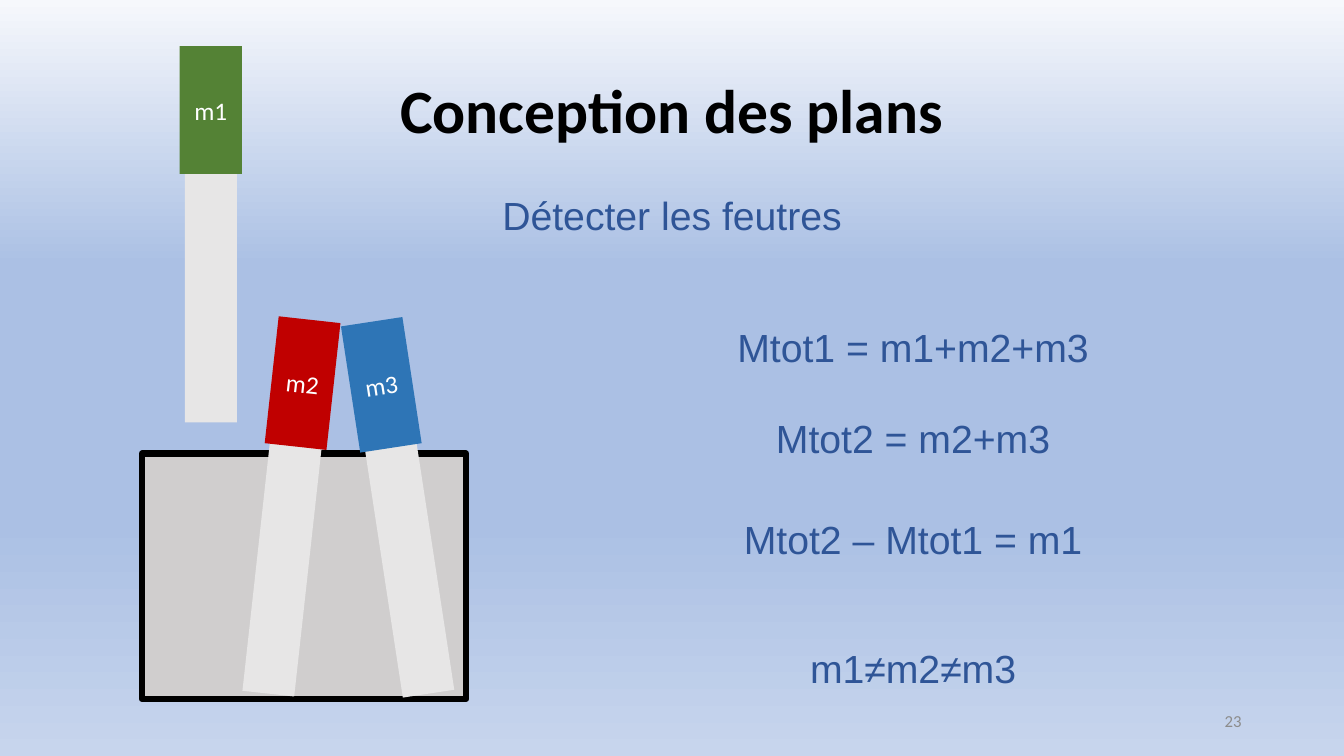
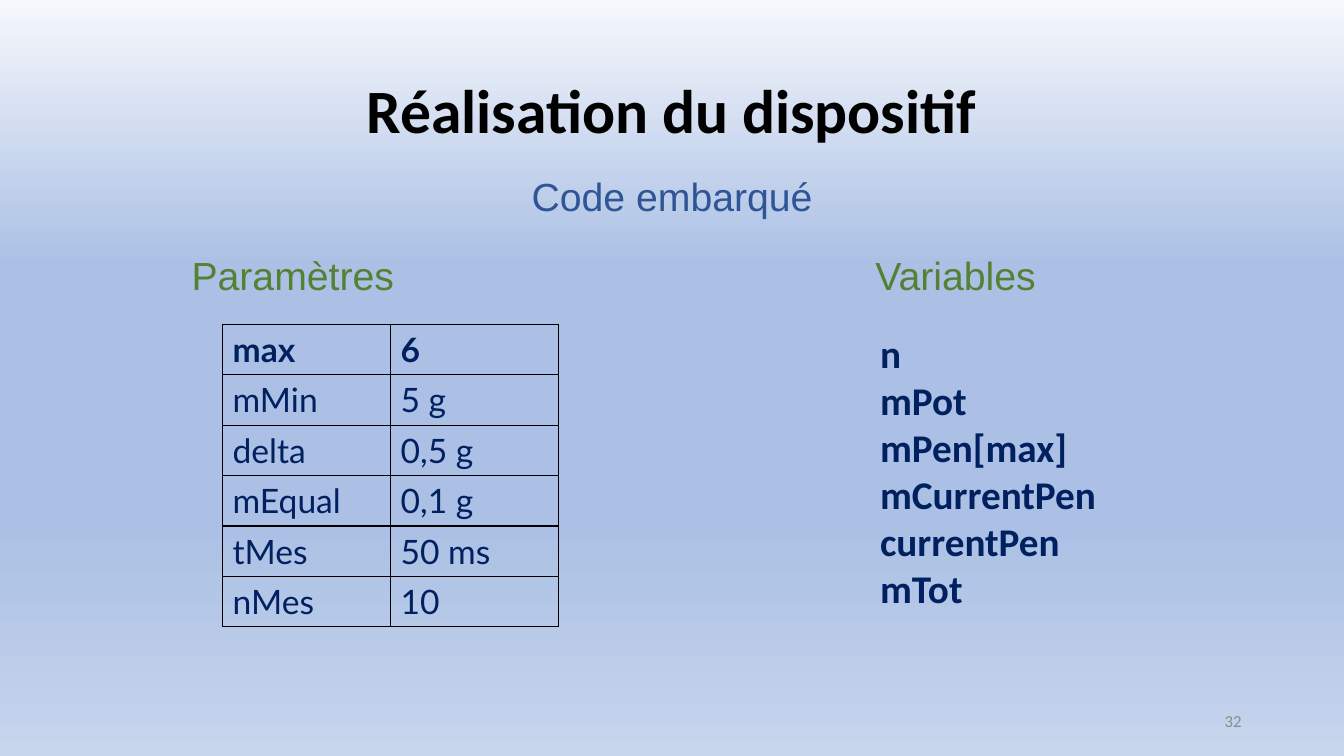
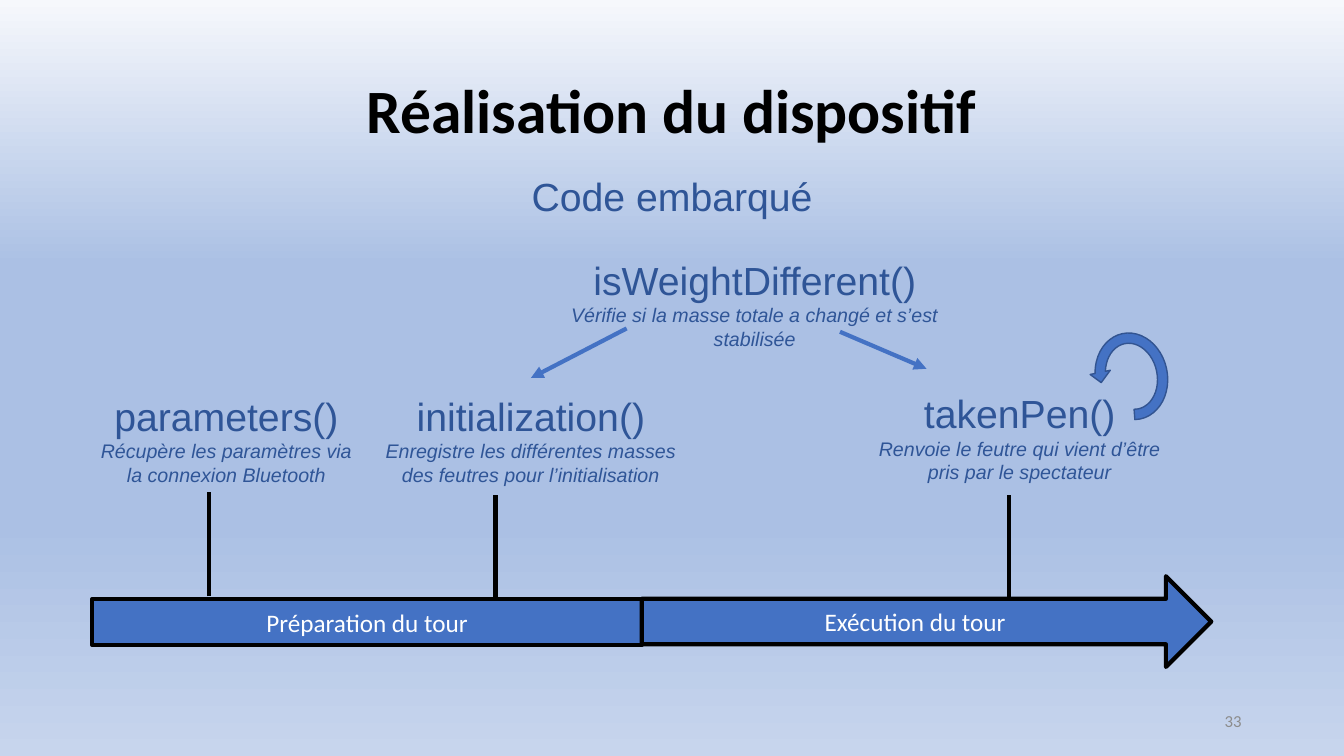
from math import cos, radians, sin

from lxml import etree
from pptx import Presentation
from pptx.dml.color import RGBColor
from pptx.enum.shapes import MSO_CONNECTOR, MSO_SHAPE
from pptx.enum.text import MSO_ANCHOR, PP_ALIGN
from pptx.oxml.ns import qn
from pptx.util import Inches, Pt

RECTANGLE, RIGHT_ARROW = MSO_SHAPE.RECTANGLE, MSO_SHAPE.RIGHT_ARROW
CIRCULAR_ARROW = MSO_SHAPE.CIRCULAR_ARROW
STRAIGHT = MSO_CONNECTOR.STRAIGHT
TOP, MIDDLE = MSO_ANCHOR.TOP, MSO_ANCHOR.MIDDLE
LEFT, CENTER, RIGHT = PP_ALIGN.LEFT, PP_ALIGN.CENTER, PP_ALIGN.RIGHT

BLACK = RGBColor(0x00, 0x00, 0x00)
WHITE = RGBColor(0xFF, 0xFF, 0xFF)
GREY = RGBColor(0x8C, 0x8C, 0x8C)
BOX_GREY = RGBColor(0xD0, 0xCE, 0xCE)
PEN_GREY = RGBColor(0xE7, 0xE6, 0xE6)
GREEN = RGBColor(0x54, 0x82, 0x35)
RED = RGBColor(0xC0, 0x00, 0x00)
CAP_BLUE = RGBColor(0x2E, 0x75, 0xB6)
TEXT_BLUE = RGBColor(0x2F, 0x55, 0x97)
NAVY = RGBColor(0x00, 0x20, 0x60)
ACCENT = RGBColor(0x44, 0x72, 0xC4)
ACCENT_EDGE = RGBColor(0x32, 0x54, 0x91)
SKY_PALE = RGBColor(0xF6, 0xF8, 0xFC)
SKY = RGBColor(0xAB, 0xC0, 0xE4)
SKY_LIGHT = RGBColor(0xC7, 0xD5, 0xED)
BACKGROUND = ((0, SKY_PALE), (35, SKY), (69, SKY), (100, SKY_LIGHT))

COLUMNS, ROWS = 160, 90
LINE_HEIGHT = 6.8


def grid(*lengths):
    """Convert grid units, twelve to the inch, to slide lengths."""
    return [Inches(length / 12) for length in lengths]


def write(frame, text, size=28, font="Arial", color=TEXT_BLUE, bold=False,
          italic=False, align=CENTER, spacing=None):
    """Append one formatted paragraph to a text frame."""
    paragraph = frame.add_paragraph() if frame.text else frame.paragraphs[0]
    paragraph.alignment = align
    if spacing:
        paragraph.line_spacing = spacing
    run = paragraph.add_run()
    run.text = text
    run.font.size, run.font.name = Pt(size), font
    run.font.bold, run.font.italic = bold, italic
    run.font.color.rgb = color


def add_solid_fill(parent, color):
    """Add a solid colour to an XML element."""
    fill = etree.SubElement(parent, qn("a:solidFill"))
    etree.SubElement(fill, qn("a:srgbClr"), val=str(color))


class Deck:
    """Hold the shared style and the current slide."""

    def __init__(self):
        """Start a widescreen deck with the gradient on its master."""
        self.presentation = Presentation()
        self.presentation.slide_width, self.presentation.slide_height = grid(COLUMNS, ROWS)
        self.slide = None
        master = self.presentation.slide_master
        fill = master.background.fill
        fill.gradient()
        fill.gradient_angle = 270
        stops = master.element.find(".//" + qn("p:bg")).find(".//" + qn("a:gsLst"))
        for stop in list(stops):
            stops.remove(stop)
        for share, color in BACKGROUND:
            stop = etree.SubElement(stops, qn("a:gs"), pos=str(share * 1000))
            etree.SubElement(stop, qn("a:srgbClr"), val=str(color))

    def start(self, title, subtitle, number, subtitle_top=19.9):
        """Open a slide with its title, subtitle and number."""
        self.slide = self.presentation.slides.add_slide(self.presentation.slide_layouts[6])
        write(self.box(11, 4.8, 138, 17.4, MIDDLE), title, size=44, font="Calibri",
              color=BLACK, bold=True, spacing=0.9)
        self.label(subtitle, 31.2, subtitle_top, COLUMNS - 2 * 31.2)
        write(self.box(113, 83.4, 36, 4.8, MIDDLE), number, size=12, font="Calibri",
              color=GREY, align=RIGHT)

    def box(self, left, top, width, height, anchor=TOP):
        """Add a wrapping text box and return its frame."""
        frame = self.slide.shapes.add_textbox(*grid(left, top, width, height)).text_frame
        frame.word_wrap, frame.vertical_anchor = True, anchor
        return frame

    def label(self, text, left, top, width, **style):
        """Add a single line of text."""
        write(self.box(left, top, width, LINE_HEIGHT), text, **style)

    def function(self, name, purpose, left, top, width):
        """Add a function name above its purpose."""
        frame = self.box(left, top, width, 12.5)
        write(frame, name)
        write(frame, purpose, size=14, italic=True)

    def shape(self, kind, left, top, width, height, fill, edge=None, weight=3,
              text=None, turn=0):
        """Add a flat preset shape with an optional white label."""
        shape = self.slide.shapes.add_shape(kind, *grid(left, top, width, height))
        shape.shadow.inherit = False
        shape.rotation = turn
        shape.fill.solid()
        shape.fill.fore_color.rgb = fill
        if edge is None:
            shape.line.fill.background()
        else:
            shape.line.color.rgb, shape.line.width = edge, Pt(weight)
        if text:
            shape.text_frame.vertical_anchor = MIDDLE
            write(shape.text_frame, text, size=18, font="Calibri", color=WHITE)
        return shape

    def pen(self, name, color, x, y, turn=0):
        """Draw a pen centred on its body, with the cap along its axis."""
        reach, angle = 18.5, radians(turn)
        cap_x, cap_y = x + reach * sin(angle), y - reach * cos(angle)
        for center_x, center_y, width, height, fill, text in (
                (x, y, 6.2, 37.4, PEN_GREY, None),
                (cap_x, cap_y, 7.4, 15.2, color, name)):
            self.shape(RECTANGLE, center_x - width / 2, center_y - height / 2,
                       width, height, fill, text=text, turn=turn)

    def line(self, start, end, color=BLACK, arrow=False):
        """Draw a straight line, with an arrowhead at its end if asked."""
        line = self.slide.shapes.add_connector(STRAIGHT, *grid(*start, *end))
        line.line.color.rgb, line.line.width = color, Pt(3)
        properties = line.element.spPr
        if arrow:
            etree.SubElement(properties.find(qn("a:ln")), qn("a:tailEnd"), type="triangle")
        etree.SubElement(properties, qn("a:effectLst"))

    def table(self, rows, left, top, column_width, row_height):
        """Add an unfilled table with thin black borders and a bold first row."""
        columns = len(rows[0])
        table = self.slide.shapes.add_table(
            len(rows), columns,
            *grid(left, top, column_width * columns, row_height * len(rows))).table
        table.first_row = table.horz_banding = False
        for r, values in enumerate(rows):
            for c, value in enumerate(values):
                cell = table.cell(r, c)
                write(cell.text_frame, value, size=24, font="Lato", color=NAVY,
                      bold=r == 0, align=LEFT)
                properties = cell._tc.get_or_add_tcPr()
                for side in ("a:lnL", "a:lnR", "a:lnT", "a:lnB"):
                    add_solid_fill(etree.SubElement(properties, qn(side), w=str(Pt(1))), BLACK)
                cell.fill.background()


def detection_slide(deck):
    """Show how a missing pen is found by its mass."""
    deck.start("Conception des plans", "Détecter les feutres", "23", subtitle_top=22.2)
    deck.shape(RECTANGLE, 16.9, 54, 38.6, 29.2, BOX_GREY, BLACK, 4.5)
    deck.pen("m1", GREEN, 25.1, 31.6)
    deck.pen("m2", RED, 34, 64, 6.3)
    deck.pen("m3", CAP_BLUE, 48.2, 64.1, -8.7)
    for equation, top in (("Mtot1 = m1+m2+m3", 37.9), ("Mtot2 = m2+m3", 48.7),
                          ("Mtot2 – Mtot1 = m1", 60.8), ("m1≠m2≠m3", 76.1)):
        deck.label(equation, 71.6, top, 74.2)


def data_slide(deck):
    """List the parameters and variables of the code."""
    deck.start("Réalisation du dispositif", "Code embarqué", "32")
    for heading, left in (("Paramètres", 18.1), ("Variables", 97)):
        deck.label(heading, left, 29.3, 33.5, color=GREEN)
    variables = deck.box(103.6, 38.6, 37.9, 40.8)
    for name in ("n", "mPot", "mPen[max]", "mCurrentPen", "currentPen", "mTot"):
        write(variables, name, font="Calibri", color=NAVY, bold=True, align=LEFT)
    parameters = (("max", "6"), ("mMin", "5 g"), ("delta", "0,5 g"),
                  ("mEqual", "0,1 g"), ("tMes", "50 ms"), ("nMes", "10"))
    deck.table(parameters, 26.5, 38.6, 20, 6)


def timeline_slide(deck):
    """Place the functions of the code along the trick."""
    deck.start("Réalisation du dispositif", "Code embarqué", "33")
    deck.function("initialization()",
                  "Enregistre les différentes masses des feutres pour l’initialisation",
                  43.9, 46.1, 38.6)
    deck.function("parameters()", "Récupère les paramètres via la connexion Bluetooth",
                  10.2, 46.1, 33.5)
    deck.function("isWeightDifferent()",
                  "Vérifie si la masse totale a changé et s’est stabilisée",
                  66.7, 29.9, 46.3)
    deck.shape(RECTANGLE, 11, 71.3, 65.4, 5.5, ACCENT, BLACK, text="Préparation du tour")
    deck.shape(RIGHT_ARROW, 76.4, 68.6, 67.8, 10.8, ACCENT, BLACK, text="Exécution du tour")
    for x, bottom in ((24.9, 71), (59, 71.3), (120.1, 71.3)):
        deck.line((x, bottom), (x, bottom - 12.4))
    deck.line((74.6, 39.1), (63.2, 45), ACCENT, arrow=True)
    deck.line((100, 39.5), (110.3, 43.9), ACCENT, arrow=True)
    loop = deck.shape(CIRCULAR_ARROW, 129.8, 39, 9.8, 11.6, ACCENT, ACCENT_EDGE, 1, turn=348.1)
    for index, value in enumerate((1 / 8, 11.42, 204.58, 49.6, 1 / 8)):
        loop.adjustments[index] = value
    loop.element.spPr.find(qn("a:xfrm")).set("flipH", "1")
    deck.function("takenPen()", "Renvoie le feutre qui vient d’être pris par le spectateur",
                  102.1, 45.8, 38.6)


def main():
    """Build and save the three slides."""
    deck = Deck()
    for build in (detection_slide, data_slide, timeline_slide):
        build(deck)
    deck.presentation.save("out.pptx")


if __name__ == "__main__":
    main()
